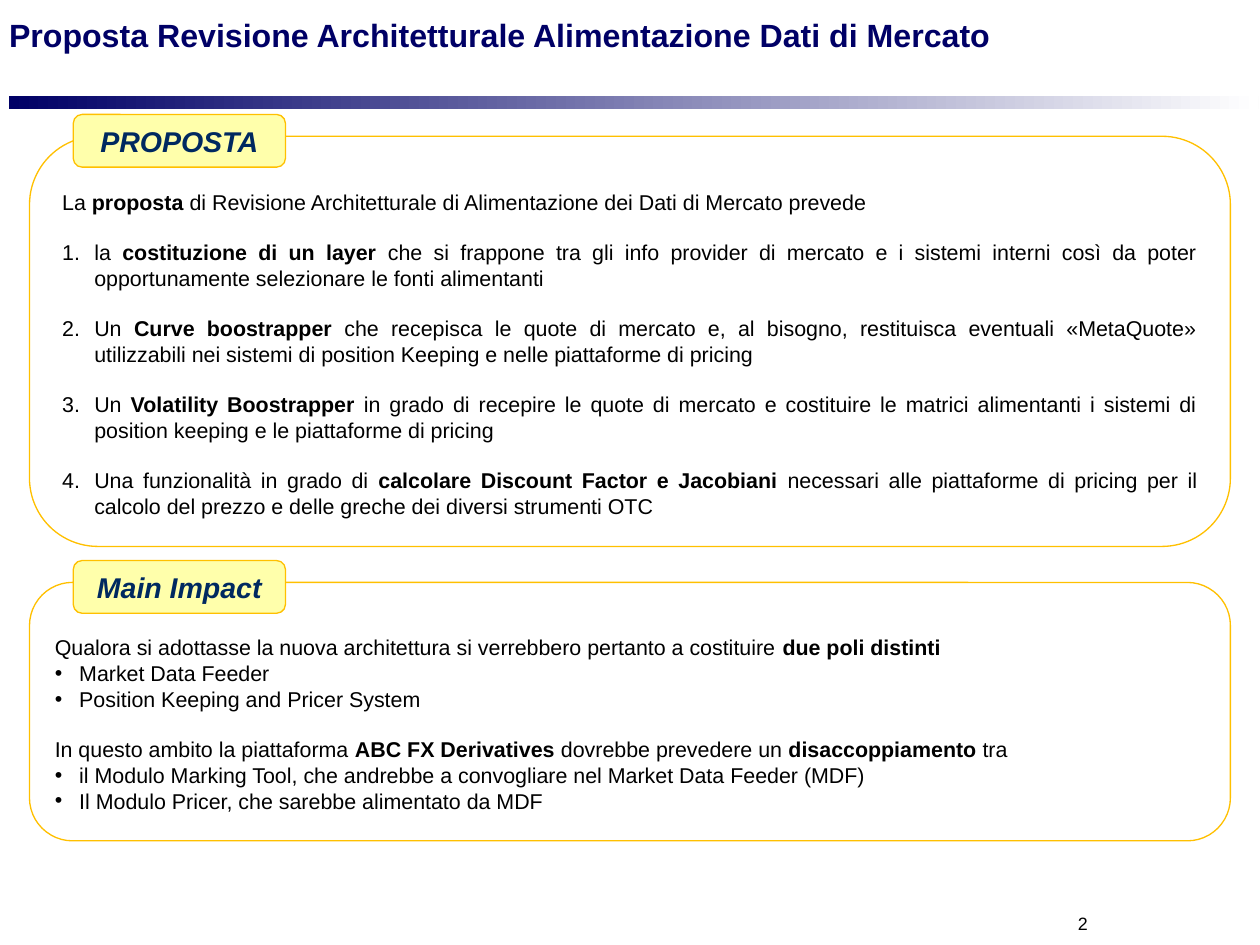
from pptx import Presentation
from pptx.dml.color import RGBColor
from pptx.enum.shapes import MSO_SHAPE as Shape
from pptx.enum.text import MSO_ANCHOR as Anchor, MSO_AUTO_SIZE as AutoSize, PP_ALIGN as Align
from pptx.oxml.ns import qn
from pptx.util import Inches, Pt
from lxml.etree import SubElement

NAVY, BLUE, GOLD, CREAM = "000066", "002960", "FFC000", "FFFFAB"
WHITE, BLACK = "FFFFFF", "000000"


def colour(value):
    return RGBColor.from_string(value)


def write(frame, text, size=12, color=BLACK, bold=False, italic=False,
          align=Align.JUSTIFY, gap=0, marker=None, indent=0):
    """Add one paragraph; parts between ** are bold, a marker makes a list item."""
    first = frame.paragraphs[0]
    paragraph = frame.add_paragraph() if first.runs else first
    paragraph.alignment = align
    paragraph.space_before = Pt(gap)
    for index, part in enumerate(text.split("**")):
        if part:
            run = paragraph.add_run()
            run.text = part
            font = run.font
            font.name, font.size, font.italic = "Arial", Pt(size), italic
            font.bold = bold or index % 2 == 1
            font.color.rgb = colour(color)
    if marker:
        properties = paragraph._p.get_or_add_pPr()
        properties.set("marL", str(indent))
        properties.set("indent", str(-indent))
        SubElement(properties, qn("a:buFont"), typeface="Arial")
        if marker == "1.":
            SubElement(properties, qn("a:buAutoNum"), type="arabicPeriod")
        else:
            SubElement(properties, qn("a:buChar"), char=marker)


presentation = Presentation()
presentation.slide_width, presentation.slide_height = Inches(9.8), Inches(7.35)
# Grid of 980 columns by 735 rows
column = presentation.slide_width // 980
row = presentation.slide_height // 735
slide = presentation.slides.add_slide(presentation.slide_layouts[5])
shapes = slide.shapes

# Title
title = shapes.title
title.left, title.top = 7 * column, 12 * row
title.width, title.height = 943 * column, 30 * row

# Gradient rule under the title
rule = shapes.add_shape(Shape.RECTANGLE, 7 * column, 75 * row, 972 * column, 10 * row)
rule.shadow.inherit = False
rule.line.fill.background()
rule.fill.gradient()
rule.fill.gradient_angle = 0
for stop, value in zip(rule.fill.gradient_stops, (NAVY, WHITE)):
    stop.color.rgb = colour(value)

# Slide number
number = shapes.add_textbox(829 * column, 710 * row, 17 * column, 17 * row)

for shape, anchor in ((title, Anchor.BOTTOM), (number, Anchor.MIDDLE)):
    frame = shape.text_frame
    frame.margin_left = frame.margin_right = frame.margin_top = frame.margin_bottom = 0
    frame.auto_size = AutoSize.NONE
    frame.vertical_anchor = anchor
title.text_frame.word_wrap = True
write(title.text_frame, "Proposta Revisione Architetturale Alimentazione Dati di Mercato",
      size=18, color=NAVY, bold=True, align=Align.LEFT)
write(number.text_frame, "2", size=10, align=Align.RIGHT)

# Panels: heading, top row, rows high, paragraphs with their format
line_gap = 13.8
numbered = {"marker": "1.", "indent": 25 * column, "gap": line_gap}
bulleted = {"marker": "•", "indent": 19 * column}
panels = [
    ("PROPOSTA", 106, 319, [
        ("La **proposta** di Revisione Architetturale di Alimentazione dei Dati di Mercato "
         "prevede", {}),
        ("la **costituzione di un layer **che si frappone tra gli info provider di mercato e i "
         "sistemi interni così da poter opportunamente selezionare le fonti alimentanti", numbered),
        ("Un **Curve boostrapper **che recepisca le quote di mercato e, al bisogno, restituisca "
         "eventuali «MetaQuote» utilizzabili nei sistemi di position Keeping e nelle "
         "piattaforme di pricing", numbered),
        ("Un **Volatility Boostrapper **in grado di recepire le quote di mercato e costituire le "
         "matrici alimentanti i sistemi di position keeping e le piattaforme di pricing", numbered),
        ("Una funzionalità in grado di **calcolare Discount Factor e Jacobiani **necessari alle "
         "piattaforme di pricing per il calcolo del prezzo e delle greche dei diversi "
         "strumenti OTC", numbered),
    ]),
    ("Main Impact", 453, 201, [
        ("Qualora si adottasse la nuova architettura si verrebbero pertanto a costituire"
         "** due poli distinti**", {}),
        ("Market Data Feeder", bulleted),
        ("Position Keeping and Pricer System", bulleted),
        ("In questo ambito la piattaforma **ABC FX Derivatives **dovrebbe prevedere un "
         "**disaccoppiamento **tra", {"gap": line_gap}),
        ("il Modulo Marking Tool, che andrebbe a convogliare nel Market Data Feeder (MDF)",
         bulleted),
        ("Il Modulo Pricer, che sarebbe alimentato da MDF", bulleted),
    ]),
]

for heading, top, height, paragraphs in panels:
    panel = shapes.add_shape(Shape.ROUNDED_RECTANGLE, 23 * column, top * row,
                             934 * column, height * row)
    label = shapes.add_shape(Shape.ROUNDED_RECTANGLE, 57 * column, (top - 17) * row,
                             165 * column, 41 * row)
    for shape, fill in ((panel, WHITE), (label, CREAM)):
        shape.shadow.inherit = False
        shape.fill.solid()
        shape.fill.fore_color.rgb = colour(fill)
        shape.line.color.rgb = colour(GOLD)
        shape.line.width = Pt(0.75)
        shape.text_frame.vertical_anchor = Anchor.MIDDLE
    # Room for the label above the panel text
    panel.text_frame.margin_top = 24 * row
    for text, style in paragraphs:
        write(panel.text_frame, text, **style)
    write(label.text_frame, heading, size=16, color=BLUE, bold=True, italic=True,
          align=Align.CENTER)

presentation.save("out.pptx")
